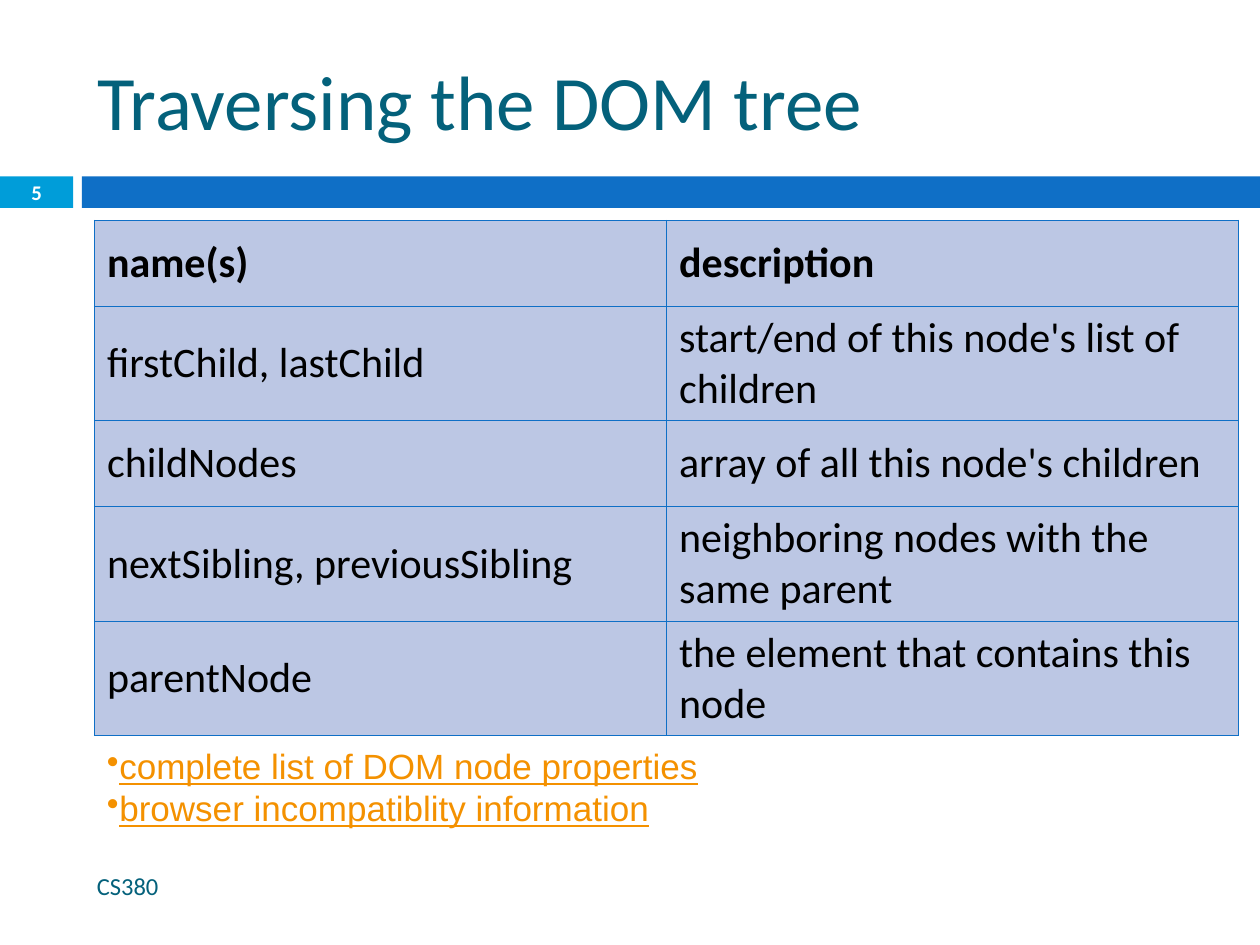
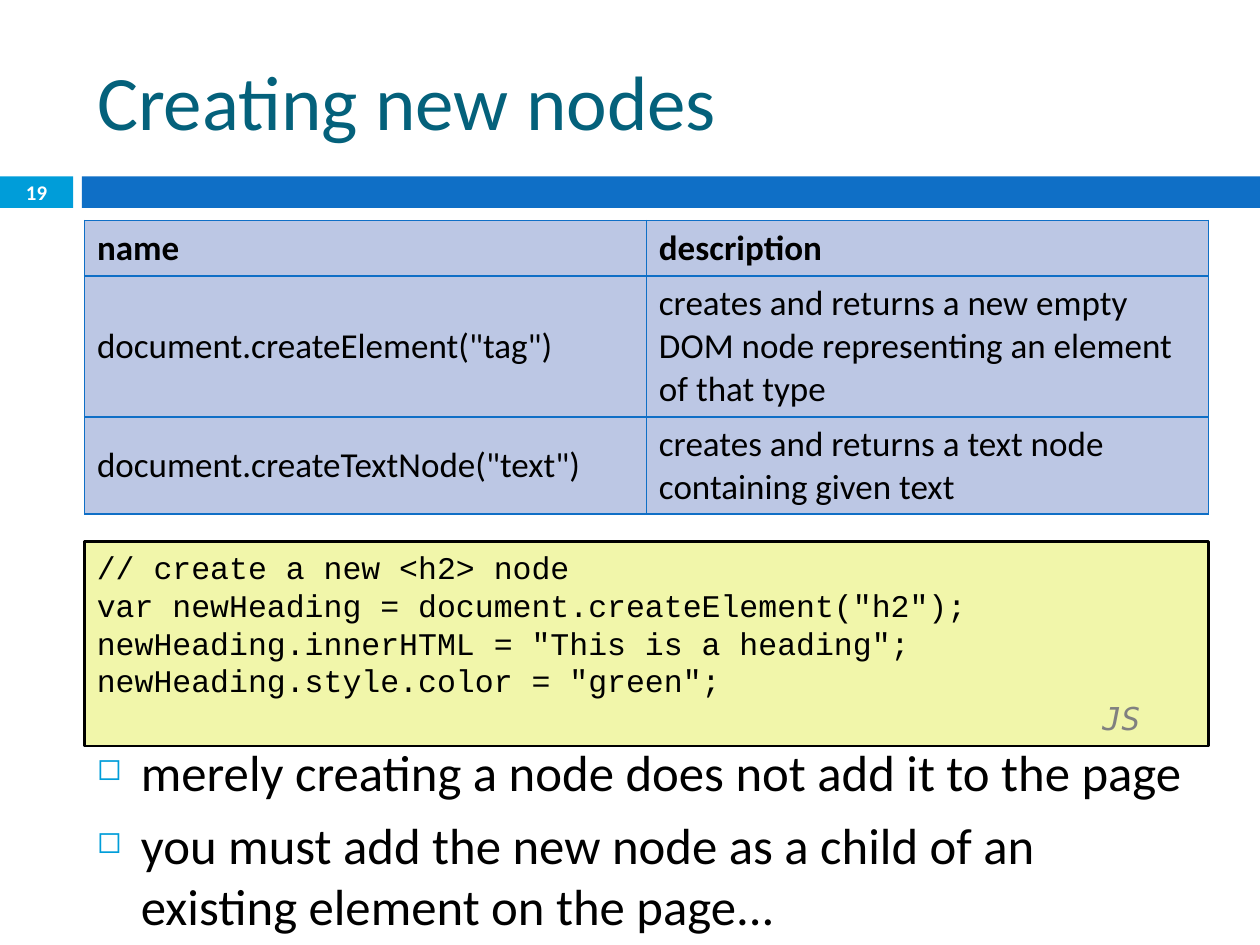
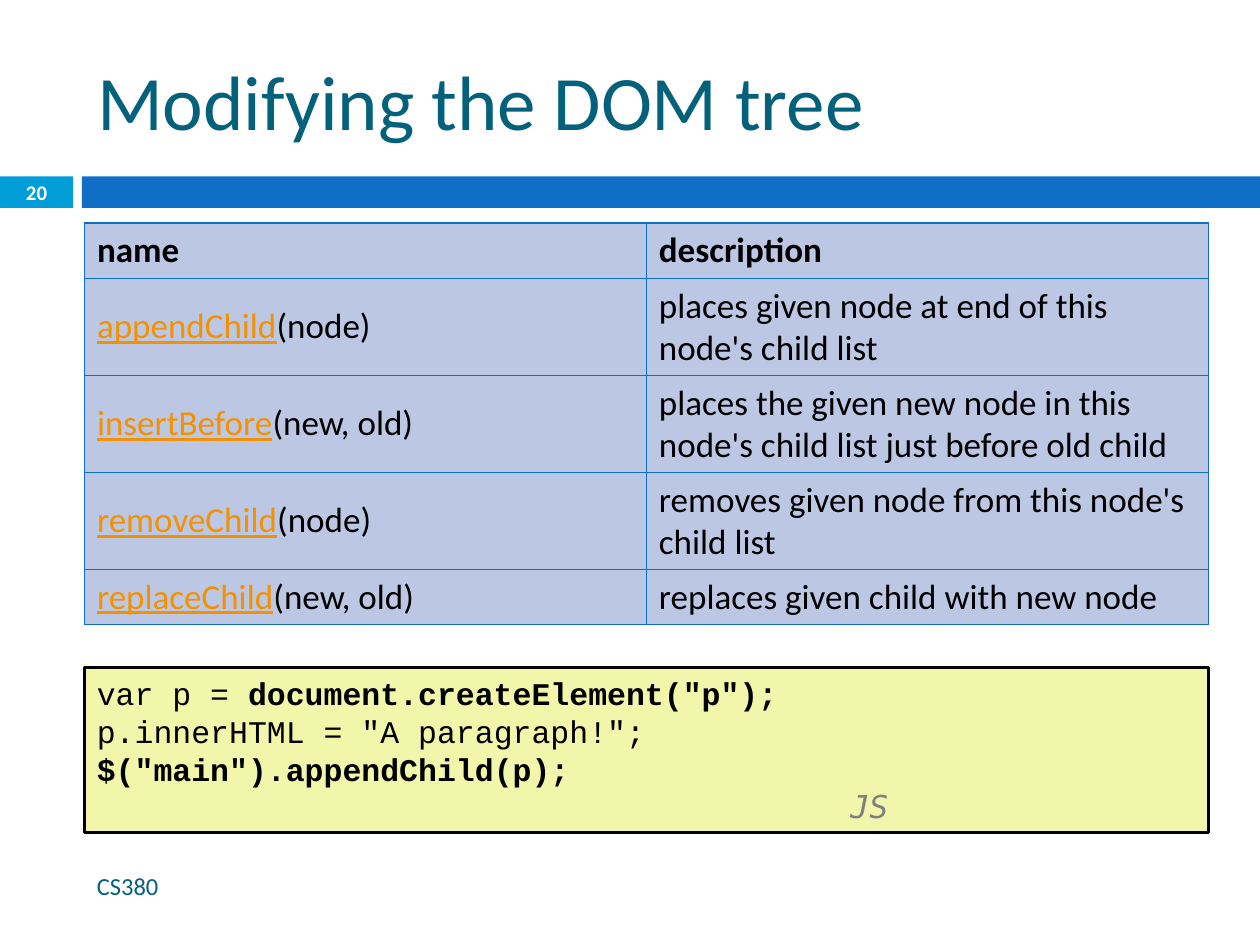
from dataclasses import dataclass

from lxml import etree
from pptx import Presentation
from pptx.dml.color import RGBColor
from pptx.enum.shapes import MSO_SHAPE
from pptx.enum.text import MSO_ANCHOR, PP_ALIGN
from pptx.oxml.ns import qn
from pptx.util import Inches, Pt

RECT = MSO_SHAPE.RECTANGLE
TOP, MIDDLE = MSO_ANCHOR.TOP, MSO_ANCHOR.MIDDLE
LEFT, CENTER = PP_ALIGN.LEFT, PP_ALIGN.CENTER
COLS, ROWS = 100, 75
WIDTH, HEIGHT = Inches(10), Inches(7.5)


@dataclass(frozen=True)
class Theme:
    ink: str = "000000"
    paper: str = "FFFFFF"
    title: str = "04617B"
    band: str = "0F6FC6"
    badge: str = "009DD9"
    link: str = "F49100"
    cell: str = "BCC7E4"
    code: str = "F1F6AA"
    tag: str = "808080"
    sans: str = "Calibri"
    plain: str = "Arial"
    mono: str = "Courier New"
    label: str = "DejaVu Sans Mono"
    title_size: float = 44
    body_size: float = 29
    link_size: float = 20
    code_size: float = 18
    foot_size: float = 14
    badge_size: float = 11.9
    rule: float = 0.79
    frame: float = 1.5


THEME = Theme()
EDGE, SPAN = 6.7, 89.2
BAND_TOP, BAND_TALL, BADGE_WIDE = 14, 2.5, 5.8


def across(cols):
    return round(WIDTH * cols / COLS)


def down(rows):
    return round(HEIGHT * rows / ROWS)


def place(col, row, cols, rows):
    return across(col), down(row), across(cols), down(rows)


def color(code):
    return RGBColor.from_string(code)


def style(run, font, size, ink):
    run.font.name = font
    run.font.size = Pt(size)
    run.font.color.rgb = color(ink)


def bold(run):
    run.font.bold = True


def link(run):
    run.font.underline = True
    run.font.color.rgb = color(THEME.link)


def write(frame, lines, font, size, ink=THEME.ink, mark=bold, align=LEFT):
    frame.text = "\n".join(line.replace("|", "") for line in lines)
    for para, line in zip(frame.paragraphs, lines):
        para.alignment = align
        if "|" in line:
            para.text = ""
        for turn, piece in enumerate(line.split("|")):
            if "|" in line and piece:
                para.add_run().text = piece
                if turn % 2:
                    style(para.runs[-1], font, size, ink)
                    mark(para.runs[-1])
                    continue
            if para.runs and piece:
                style(para.runs[-1], font, size, ink)


def bullet(para, char, hue=None, share=None):
    props = para._p.get_or_add_pPr()
    if hue:
        tint = etree.SubElement(props, qn("a:buClr"))
        etree.SubElement(tint, qn("a:srgbClr"), val=hue)
    if share:
        etree.SubElement(props, qn("a:buSzPct"), val=str(share * 1000))
    etree.SubElement(props, qn("a:buChar"), char=char)


def indent(para, left, first=0):
    props = para._p.get_or_add_pPr()
    props.set("marL", str(across(left)))
    props.set("indent", str(across(first)))


def add_text(slide, spot, lines, font, size, ink=THEME.ink, anchor=MIDDLE, wrap=True, **more):
    frame = slide.shapes.add_textbox(*place(*spot)).text_frame
    frame.word_wrap = wrap
    frame.vertical_anchor = anchor
    write(frame, lines, font, size, ink, **more)
    return frame


def add_box(slide, spot, fill, line=None):
    box = slide.shapes.add_shape(RECT, *place(*spot))
    box.shadow.inherit = False
    box.fill.solid()
    box.fill.fore_color.rgb = color(fill)
    if line:
        box.line.color.rgb = color(line)
        box.line.width = Pt(THEME.frame)
    else:
        box.line.fill.background()
    return box


def add_bands(deck, layout):
    draft = deck.slides[0]
    start = BADGE_WIDE + 0.7
    for spot, fill in (
        ((0, BAND_TOP, BADGE_WIDE, BAND_TALL), THEME.badge),
        ((start, BAND_TOP, COLS - start, BAND_TALL), THEME.band),
    ):
        layout.shapes.element.append(add_box(draft, spot, fill).element)


def add_page(deck, layout, title, number, foot=True):
    slide = deck.slides.add_slide(layout)
    head = slide.shapes.title
    head.left, head.top, head.width, head.height = place(EDGE, 2.5, SPAN, 10.8)
    head.text_frame.vertical_anchor = MIDDLE
    write(head.text_frame, [title], THEME.sans, THEME.title_size, THEME.title)
    add_text(slide, (0, BAND_TOP - 0.1, BADGE_WIDE, BAND_TALL + 0.2), [f"|{number}|"],
             THEME.sans, THEME.badge_size, THEME.paper, align=CENTER)
    if foot:
        add_text(slide, (EDGE, 68.3, 59.3, 4), ["CS380"],
                 THEME.sans, THEME.foot_size, THEME.title)
    return slide


def edge_cell(cell):
    props = cell._tc.get_or_add_tcPr()
    for turn, side in enumerate(("a:lnL", "a:lnR", "a:lnT", "a:lnB")):
        line = etree.Element(qn(side), w=str(Pt(THEME.rule)))
        fill = etree.SubElement(line, qn("a:solidFill"))
        etree.SubElement(fill, qn("a:srgbClr"), val=THEME.band)
        props.insert(turn, line)


def add_grid(slide, col, row, cols, heights, data, size):
    spot = place(col, row, cols, sum(heights))
    table = slide.shapes.add_table(len(data), len(data[0]), *spot).table
    table.first_row = table.horz_banding = False
    for line, tall in zip(table.rows, heights):
        line.height = down(tall)
    for line, texts in zip(table.rows, data):
        for cell, text in zip(line.cells, texts):
            head = texts is data[0]
            cell.vertical_anchor = MIDDLE
            cell.fill.solid()
            cell.fill.fore_color.rgb = color(THEME.cell)
            edge_cell(cell)
            write(cell.text_frame, [f"|{text}|" if head else text],
                  THEME.sans, size, mark=bold if head else link)


def add_code(slide, row, rows, lines, shift):
    box = add_box(slide, (EDGE, row, SPAN, rows), THEME.code, THEME.ink)
    frame = box.text_frame
    frame.vertical_anchor = TOP
    write(frame, lines + ["JS"], THEME.mono, THEME.code_size)
    tag = frame.paragraphs[-1]
    indent(tag, shift)
    style(tag.runs[0], THEME.label, THEME.code_size, THEME.tag)
    tag.runs[0].font.italic = True


def add_links(slide, lines):
    frame = add_text(slide, (7.5, 58.6, 50, 7.7), [f"|{line}|" for line in lines],
                     THEME.plain, THEME.link_size, wrap=False, mark=link)
    for para in frame.paragraphs:
        bullet(para, "•")


def add_points(slide, lines):
    frame = add_text(slide, (EDGE, 58.3, SPAN, 13.3), lines,
                     THEME.sans, THEME.body_size, anchor=TOP)
    for para in frame.paragraphs:
        para.space_before = Pt(7)
        indent(para, 3.5, -3.5)
        bullet(para, "◻", THEME.badge, 60)


def fill_walk(slide):
    add_grid(slide, 7.5, 17.5, 90.8, [6.8, 9.1, 6.8, 9.1, 9.1], [
        ("name(s)", "description"),
        ("firstChild, lastChild", "start/end of this node's list of children"),
        ("childNodes", "array of all this node's children"),
        ("nextSibling, previousSibling", "neighboring nodes with the same parent"),
        ("parentNode", "the element that contains this node"),
    ], 24)
    add_links(slide, ["complete list of DOM node properties",
                      "browser incompatiblity information"])


def fill_make(slide):
    add_grid(slide, EDGE, 17.5, SPAN, [4.4, 11.2, 7.7], [
        ("name", "description"),
        ('document.createElement("tag")',
         "creates and returns a new empty DOM node representing an element of that type"),
        ('document.createTextNode("text")',
         "creates and returns a text node containing given text"),
    ], 20)
    add_code(slide, 43, 16.2, [
        "// create a new <h2> node",
        'var newHeading = document.createElement("h2");',
        'newHeading.innerHTML = "This is a heading";',
        'newHeading.style.color = "green";',
    ], 79.8)
    add_points(slide, [
        "merely creating a node does not add it to the page",
        "you must add the new node as a child of an existing element on the page...",
    ])


def fill_change(slide):
    add_grid(slide, EDGE, 17.7, SPAN, [4.4, 7.7, 7.7, 7.7, 4.4], [
        ("name", "description"),
        ("|appendChild|(node)", "places given node at end of this node's child list"),
        ("|insertBefore|(new,\u00a0old)",
         "places the given new node in this node's child list just before old child"),
        ("|removeChild|(node)", "removes given node from this node's child list"),
        ("|replaceChild|(new,\u00a0old)", "replaces given child with new node"),
    ], 20)
    add_code(slide, 53, 13.1, [
        'var p = |document.createElement("p");|',
        'p.innerHTML = "A paragraph!";',
        '|$("main").appendChild(p);|',
    ], 59.8)


def main():
    deck = Presentation()
    deck.slide_width, deck.slide_height = WIDTH, HEIGHT
    layout = deck.slide_layouts[5]
    fill_walk(add_page(deck, layout, "Traversing the DOM tree", 5))
    fill_make(add_page(deck, layout, "Creating new nodes", 19, foot=False))
    fill_change(add_page(deck, layout, "Modifying the DOM tree", 20))
    add_bands(deck, layout)
    deck.save("out.pptx")


main()
